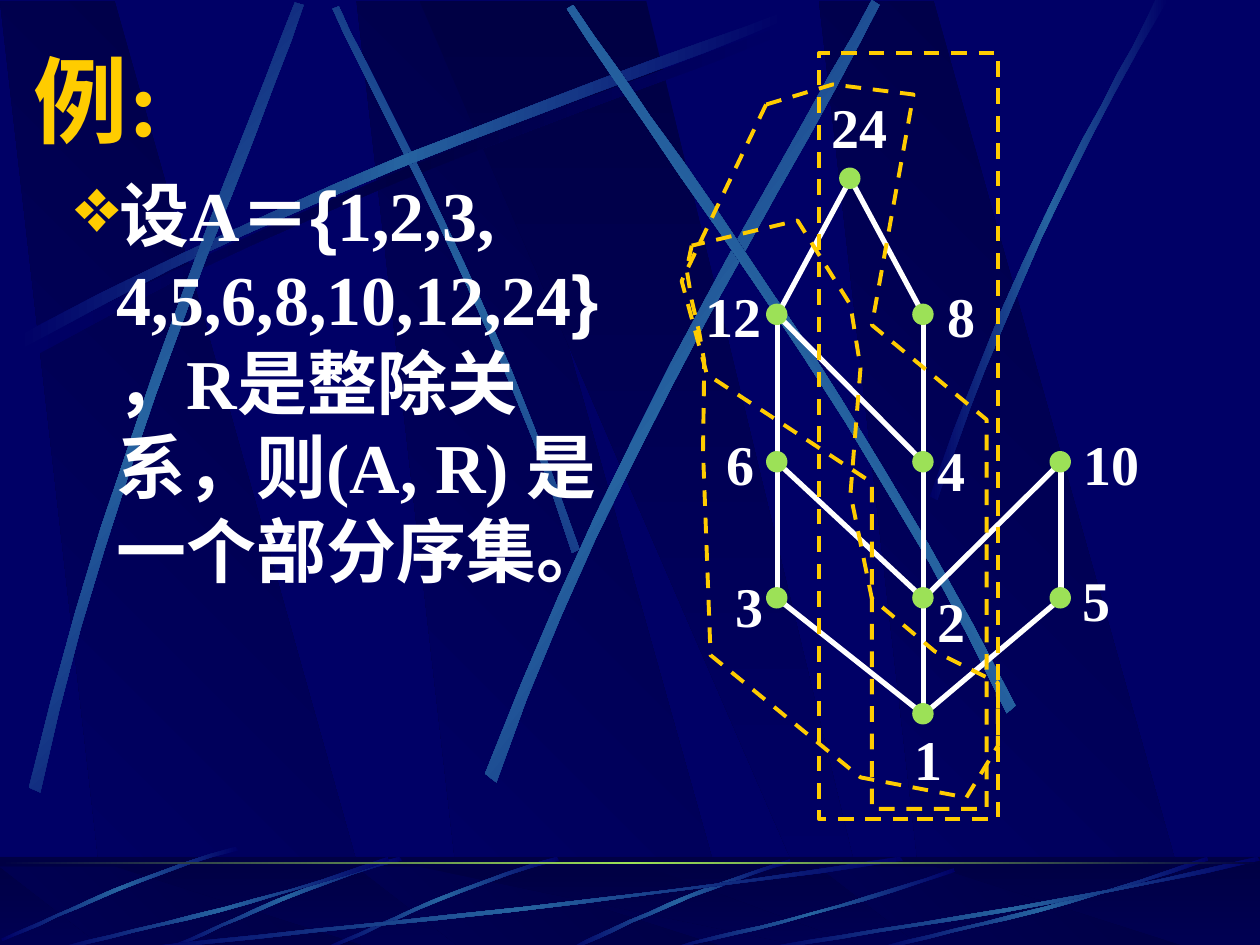
import pptx
import pptx.dml.color
import pptx.enum.dml
import pptx.enum.shapes
import pptx.enum.text
import pptx.oxml.ns
import pptx.util
from lxml import etree

PX = 9144  # 100 px to the inch
NAVY, DARK, SKY = "000066", "000044", "2663A0"
GOLD, LIME, WHITE = "FFCC00", "9CE157", "FFFFFF"
hue = pptx.dml.color.RGBColor.from_string
qn = pptx.oxml.ns.qn
kinds = pptx.enum.shapes.MSO_SHAPE

deck = pptx.Presentation()
deck.slide_width, deck.slide_height = 1000 * PX, 750 * PX
slide = deck.slides.add_slide(deck.slide_layouts[6])
slide.background.fill.solid()
slide.background.fill.fore_color.rgb = hue(NAVY)
shapes = slide.shapes


def paint(shape, hues, angle=0):
    """Fill with one colour or an even gradient, without line or shadow."""
    shape.shadow.inherit = False
    shape.line.fill.background()
    if len(hues) == 1:
        shape.fill.solid()
        shape.fill.fore_color.rgb = hue(hues[0])
        return
    shape.fill.gradient()
    shape.fill.gradient_angle = angle
    stops = shape.fill._fill._gradFill.find(qn("a:gsLst"))
    for stop in list(stops):
        stops.remove(stop)
    for i, tone in enumerate(hues):
        stop = etree.SubElement(stops, qn("a:gs"), pos=str(100000 * i // (len(hues) - 1)))
        etree.SubElement(stop, qn("a:srgbClr"), val=tone)


def draw(points):
    pen = shapes.build_freeform(*points[0], scale=PX)
    pen.add_line_segments(points[1:], close=True)
    return pen.convert_to_shape()


# Backdrop: each wedge is bottom left, bottom right, top right, top left, angle
wedges = [(369, 585, 374, 283, 225), (86, 302, 91, 0, 225),
          (736, 952, 741, 650, 225), (658, 694, 513, 333, 270)]

# Each streak: tone, angle, then two curves of four points
upper = [
    (DARK, 0, (20, 275), (284, 134), (524, 59), (626, 18),
     (629, 24), (528, 69), (254, 151), (23, 285)),
    (SKY, 45, (460, 436), (391, 234), (302, 77), (269, 5),
     (264, 7), (295, 79), (398, 258), (454, 439)),
    (SKY, 0, (14, 267), (278, 125), (518, 51), (620, 10),
     (623, 16), (522, 61), (248, 143), (17, 277)),
    (SKY, 311.7, (23, 625), (93, 334), (197, 105), (234, 2),
     (241, 4), (207, 109), (86, 368), (32, 629)),
    (SKY, 321.6, (385, 614), (498, 320), (638, 102), (692, 0),
     (698, 4), (649, 108), (486, 355), (394, 621)),
    (SKY, 34.8, (806, 560), (670, 293), (516, 95), (455, 4),
     (450, 7), (507, 101), (685, 325), (799, 566)),
    (SKY, 0, (738, 394), (814, 173), (888, 66), (917, 0),
     (927, 0), (836, 145), (769, 322), (744, 397)),
]
lower = [(SKY, 0, (627, 682), (537, 709), (477, 742), (448, 754),
          (453, 755), (490, 737), (571, 700), (628, 685))]
for x, y in [(256, 0), (131, 0), (1, -8)]:
    lower.append((SKY, 0, (x + 186, y + 680), (x + 99, y + 705), (x + 31, y + 740),
                  (x, y + 753), (x + 1, y + 755), (x + 32, y + 743),
                  (x + 109, y + 703), (x + 188, y + 683)))
for x, wide, top in [(100, 617, 680), (42, 267, 680), (527, 231, 689),
                     (692, 267, 680), (600, 400, 680)]:
    tall = 755 - top
    shares = [(1, .04), (.57, .57), (.17, .85), (.005, 1),
              (0, .98), (.165, .81), (.615, .5), (.995, 0)]
    lower.append((SKY, 0, *[(x + wide * u, top + tall * v) for u, v in shares]))

for top, base, streaks in [(1, 752, upper), (688, 755, lower)]:
    if streaks is lower:
        band = shapes.add_shape(kinds.RECTANGLE, 0, 680 * PX, 1000 * PX, 75 * PX)
        paint(band, [DARK, NAVY], 270)
    for a, b, c, d, angle in wedges:
        paint(draw([(a, base), (b, base), (c, top), (d, top)]), [DARK, NAVY], angle)
    if streaks is lower:
        veil = shapes.add_shape(kinds.RECTANGLE, 0, 680 * PX, 1000 * PX, 75 * PX)
        paint(veil, [DARK])
        tint = veil.fill._xPr.find(qn("a:solidFill"))[0]
        etree.SubElement(tint, qn("a:alpha"), val="50000")
    for tone, angle, *ends in streaks:
        points = []
        for curve in (ends[:4], ends[4:]):
            for i in range(13):
                t = i / 12
                parts = ((1 - t) ** 3, 3 * t * (1 - t) ** 2, 3 * t * t * (1 - t), t ** 3)
                points.append(tuple(sum(k * p[axis] for k, p in zip(parts, curve))
                                    for axis in (0, 1)))
        paint(draw(points), [NAVY, tone, NAVY], angle)

rule = shapes.add_shape(kinds.RECTANGLE, 0, 684 * PX, 1000 * PX, 2 * PX)
paint(rule, [DARK, LIME, DARK])

# Body text
box = shapes.add_textbox(35 * PX, 131 * PX, 467 * PX, 567 * PX)
box.text_frame.word_wrap = True
para = box.text_frame.paragraphs[0]
props = para._p.get_or_add_pPr()
props.set("marL", str(48 * PX))
props.set("indent", str(-33 * PX))
props.set("hangingPunct", "0")
etree.SubElement(etree.SubElement(props, qn("a:buClr")), qn("a:srgbClr"), val=GOLD)
etree.SubElement(props, qn("a:buSzPct"), val="110000")
etree.SubElement(props, qn("a:buChar"), char="❖")
para.font.size, para.font.bold = pptx.util.Pt(40), True
para.font.color.rgb = hue(WHITE)
for words, face in [("设A＝", "Times New Roman"), ("{", "Arial"),
                    ("1,2,3, 4,5,6,8,10,12,24", "Times New Roman"), ("}", "Arial"),
                    ("，R是整除关系，则(A, R) ", "Times New Roman"),
                    ("是一个部分序集。", "Noto Sans CJK SC")]:
    run = para.add_run()
    run.text, run.font.name = words, face

# Hasse diagram: node centre, then left and top of its label
nodes = {24: (675, 142, 650, 58), 12: (617, 250, 550, 208), 8: (733, 250, 742, 208),
         6: (617, 367, 567, 325), 4: (733, 367, 734, 330), 10: (842, 367, 850, 325),
         3: (617, 475, 574, 438), 2: (733, 475, 734, 450), 5: (842, 475, 849, 433),
         1: (733, 567, 716, 559)}
edges = [(12, 4), (10, 2), (6, 2), (24, 8), (24, 12), (10, 5), (8, 1), (5, 1), (1, 3), (12, 3)]
for a, b in edges:
    ends = [v * PX for v in nodes[a][:2] + nodes[b][:2]]
    edge = shapes.add_connector(pptx.enum.shapes.MSO_CONNECTOR.STRAIGHT, *ends)
    edge.line.color.rgb, edge.line.width = hue(WHITE), pptx.util.Pt(3)
    etree.SubElement(edge._element.spPr, qn("a:effectLst"))
for x, y, *_ in nodes.values():
    dot = shapes.add_shape(kinds.OVAL, (x - 9) * PX, (y - 9) * PX, 17 * PX, 17 * PX)
    paint(dot, [LIME])

# Title and node labels
fits = pptx.enum.text.MSO_AUTO_SIZE
texts = [("例:", 17, 28, 950, 100, 54, GOLD, 1, fits.NONE)]
for name, (_, _, x, y) in nodes.items():
    texts.append((str(name), x, y, 65 if name > 9 else 42, 74, 32, WHITE, 1.2,
                  fits.SHAPE_TO_FIT_TEXT))
for words, x, y, wide, tall, size, tone, gap, fit in texts:
    box = shapes.add_textbox(x * PX, y * PX, wide * PX, tall * PX)
    frame = box.text_frame
    frame.auto_size = fit
    frame.word_wrap = fit == fits.NONE
    frame.vertical_anchor = pptx.enum.text.MSO_ANCHOR.MIDDLE
    para = frame.paragraphs[0]
    para.text, para.line_spacing = words, gap
    para.font.name, para.font.size = "Times New Roman", pptx.util.Pt(size)
    para.font.bold, para.font.color.rgb = True, hue(tone)

# Dashed subsets
frame = shapes.add_shape(kinds.RECTANGLE, 650 * PX, 42 * PX, 142 * PX, 608 * PX)
left = draw([(549, 195), (545, 214), (549, 238), (555, 264), (559, 287), (558, 358),
             (564, 520), (683, 617), (767, 633), (792, 592), (792, 542), (742, 517),
             (692, 475), (675, 392), (683, 292), (675, 242), (633, 175)])
tall = draw([(608, 83), (541, 223), (561, 297), (692, 383), (692, 642), (783, 642),
             (783, 333), (692, 258), (725, 75), (661, 67)])
for ring in (frame, left, tall):
    ring.shadow.inherit = False
    ring.fill.background()
    ring.line.color.rgb, ring.line.width = hue(GOLD), pptx.util.Pt(2.25)
    ring.line.dash_style = pptx.enum.dml.MSO_LINE.DASH

deck.save("out.pptx")
